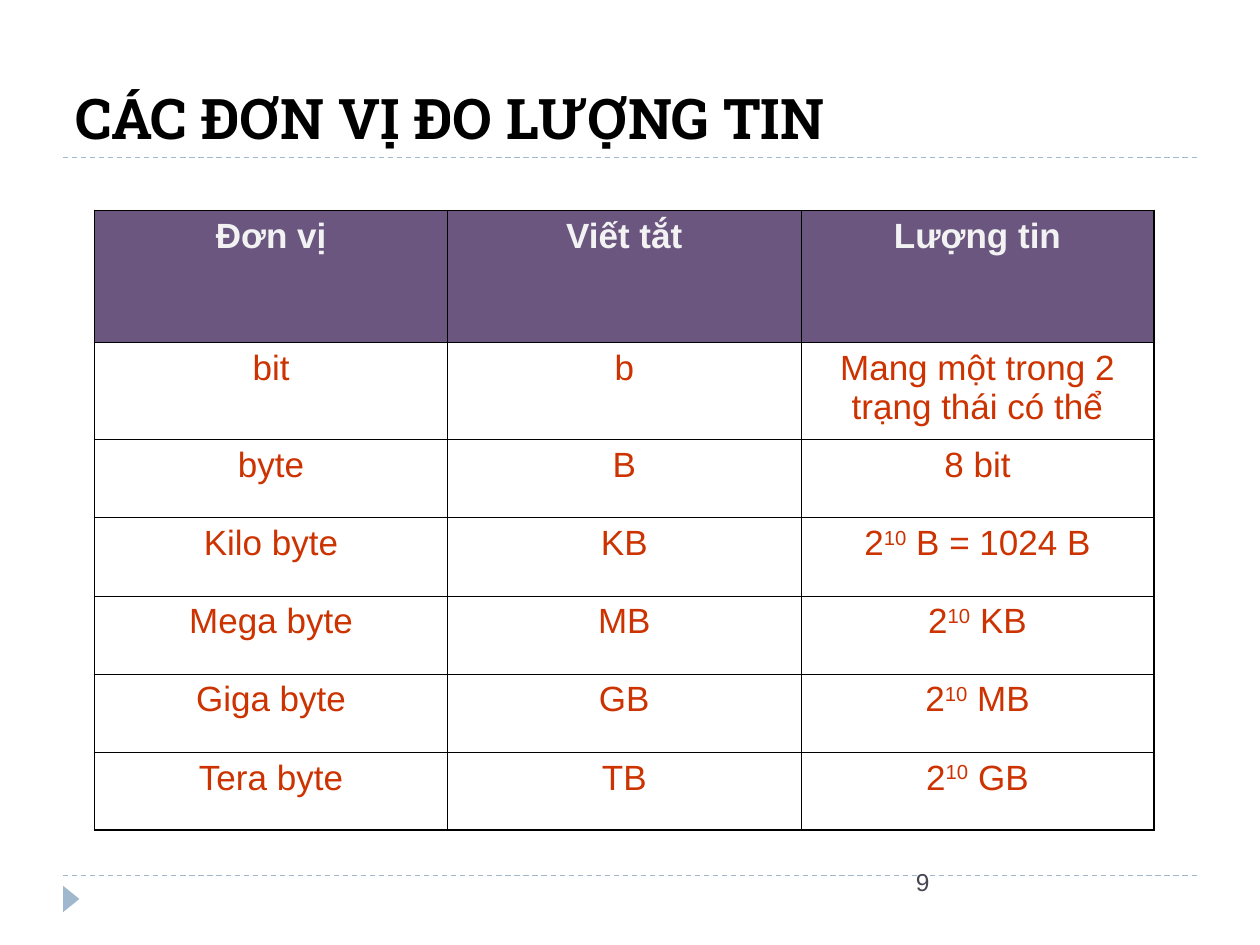
from dataclasses import dataclass

from lxml.etree import SubElement
from pptx import Presentation
from pptx.dml.color import RGBColor
from pptx.enum.dml import MSO_LINE
from pptx.enum.shapes import MSO_CONNECTOR, MSO_SHAPE
from pptx.enum.text import MSO_ANCHOR, PP_ALIGN
from pptx.oxml.ns import qn
from pptx.util import Inches, Pt

# Content: text between carets is superscript
TITLE = "CÁC ĐƠN VỊ ĐO LƯỢNG TIN"
PAGE_NUMBER = "9"
UNITS = [
    ("Đơn vị", "Viết tắt", "Lượng tin"),
    ("bit", "b", "Mang một trong 2 trạng thái có thể"),
    ("byte", "B", "8 bit"),
    ("Kilo byte", "KB", "2^10^ B = 1024 B"),
    ("Mega byte", "MB", "2^10^ KB"),
    ("Giga byte", "GB", "2^10^ MB"),
    ("Tera byte", "TB", "2^10^ GB"),
]


@dataclass(frozen=True)
class Theme:
    title_font: str = "Roboto Slab"
    body_font: str = "Arial"
    title_size: int = 32
    table_size: int = 20
    number_size: int = 14
    black: str = "000000"
    accent: str = "9FB8CD"
    header_fill: str = "6B5680"
    header_text: str = "F2F2F2"
    body_text: str = "CC3300"
    number_text: str = "464653"
    outer_border: float = 1.08
    inner_border: float = 0.45


THEME = Theme()

# Layout in inches
WIDTH, HEIGHT, MARGIN = 10, 7.5, 0.5
RULES = (1.25, 6.95)
TABLE_LEFT, TABLE_TOP, TABLE_WIDTH = 0.75, 1.67, 8.41
ROW_HEIGHTS = [1.05, 0.77] + [0.62] * (len(UNITS) - 2)


def set_font(font, name, size, color, bold=False):
    font.name, font.size, font.bold = name, Pt(size), bold
    font.color.rgb = RGBColor.from_string(color)


def add_rule(slide, y):
    rule = slide.shapes.add_connector(
        MSO_CONNECTOR.STRAIGHT, Inches(MARGIN), Inches(y), Inches(WIDTH - MARGIN), Inches(y))
    rule.line.color.rgb = RGBColor.from_string(THEME.accent)
    rule.line.width = Pt(0.75)
    rule.line.dash_style = MSO_LINE.DASH
    SubElement(rule._element.spPr, qn("a:effectLst"))


def set_borders(cell, outer_sides):
    properties = cell._tc.get_or_add_tcPr()
    for side in "LRTB":
        width = THEME.outer_border if side in outer_sides else THEME.inner_border
        line = SubElement(properties, qn(f"a:ln{side}"), w=str(Pt(width)))
        SubElement(SubElement(line, qn("a:solidFill")), qn("a:srgbClr"), val=THEME.black)


def fill_cell(cell, text, is_header):
    paragraph = cell.text_frame.paragraphs[0]
    paragraph.alignment = PP_ALIGN.CENTER
    paragraph.space_before = Pt(5)
    color = THEME.header_text if is_header else THEME.body_text
    for index, part in enumerate(text.split("^")):
        run = paragraph.add_run()
        run.text = part
        set_font(run.font, THEME.body_font, THEME.table_size, color, is_header)
        if index % 2:
            run._r.get_or_add_rPr().set("baseline", "30000")
    if is_header:
        cell.fill.solid()
        cell.fill.fore_color.rgb = RGBColor.from_string(THEME.header_fill)
    else:
        cell.fill.background()


def add_units_table(slide):
    row_count, column_count = len(UNITS), len(UNITS[0])
    table = slide.shapes.add_table(
        row_count, column_count, Inches(TABLE_LEFT), Inches(TABLE_TOP),
        Inches(TABLE_WIDTH), Inches(sum(ROW_HEIGHTS))).table
    table.horz_banding = False
    for row, height in zip(table.rows, ROW_HEIGHTS):
        row.height = Inches(height)
    for r, texts in enumerate(UNITS):
        for c, text in enumerate(texts):
            edges = {"L": c == 0, "R": c == column_count - 1,
                     "T": r == 0, "B": r == row_count - 1}
            cell = table.cell(r, c)
            set_borders(cell, [side for side, is_outer in edges.items() if is_outer])
            fill_cell(cell, text, r == 0)


def main():
    presentation = Presentation()
    presentation.slide_width, presentation.slide_height = Inches(WIDTH), Inches(HEIGHT)
    slide = presentation.slides.add_slide(presentation.slide_layouts[5])

    # Dashed rules and corner marker
    for y in RULES:
        add_rule(slide, y)
    marker = slide.shapes.add_shape(
        MSO_SHAPE.ISOSCELES_TRIANGLE, Inches(0.46), Inches(7.07), Inches(0.21), Inches(0.13))
    marker.rotation = 90
    marker.shadow.inherit = False
    marker.fill.solid()
    marker.fill.fore_color.rgb = RGBColor.from_string(THEME.accent)
    marker.line.fill.background()

    # Title
    title = slide.shapes.title
    title.left, title.top = Inches(MARGIN), Inches(-0.17)
    title.width, title.height = Inches(9.33), Inches(1.42)
    title.text_frame.text = TITLE
    title.text_frame.vertical_anchor = MSO_ANCHOR.BOTTOM
    paragraph = title.text_frame.paragraphs[0]
    paragraph.alignment = PP_ALIGN.LEFT
    set_font(paragraph.font, THEME.title_font, THEME.title_size, THEME.black, bold=True)

    add_units_table(slide)

    # Page number
    number = slide.shapes.add_textbox(Inches(7.17), Inches(6.83), Inches(2.33), Inches(0.5))
    number.text_frame.word_wrap = True
    number.text_frame.text = PAGE_NUMBER
    set_font(number.text_frame.paragraphs[0].font,
             THEME.body_font, THEME.number_size, THEME.number_text)

    presentation.save("out.pptx")


if __name__ == "__main__":
    main()
